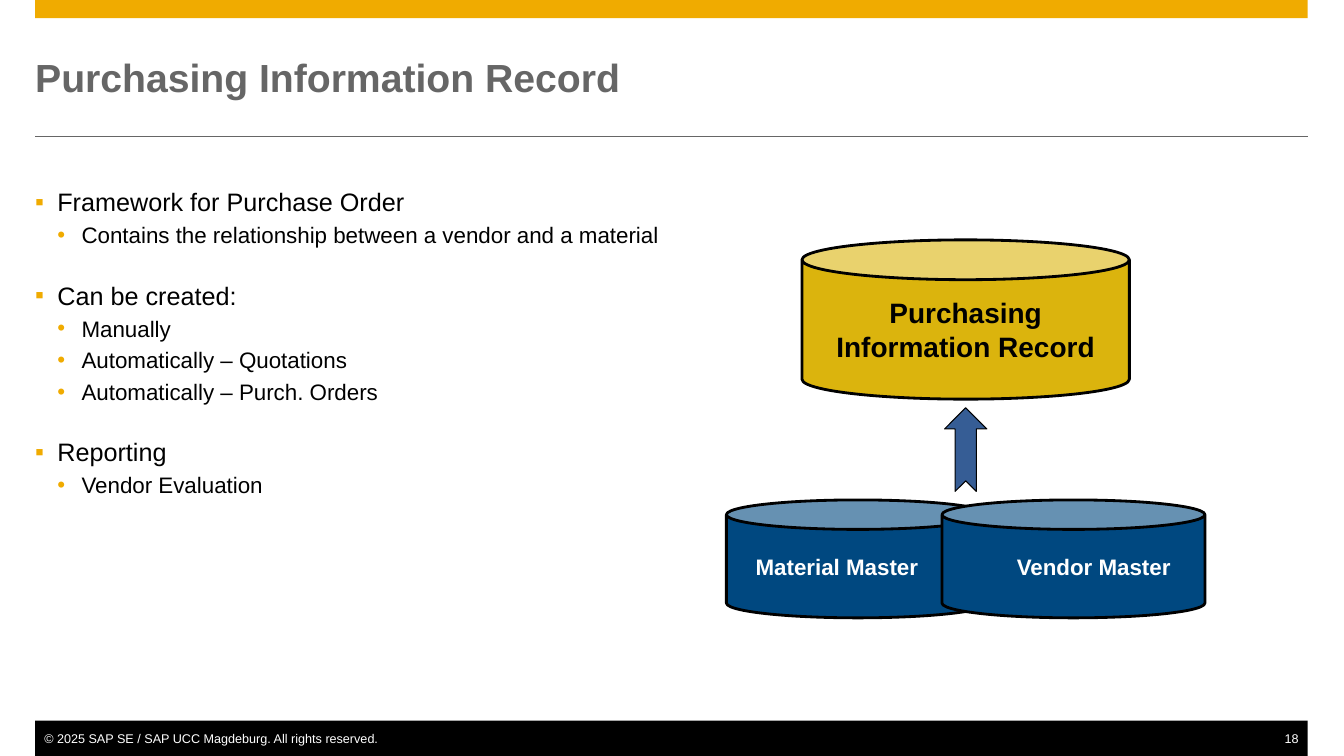
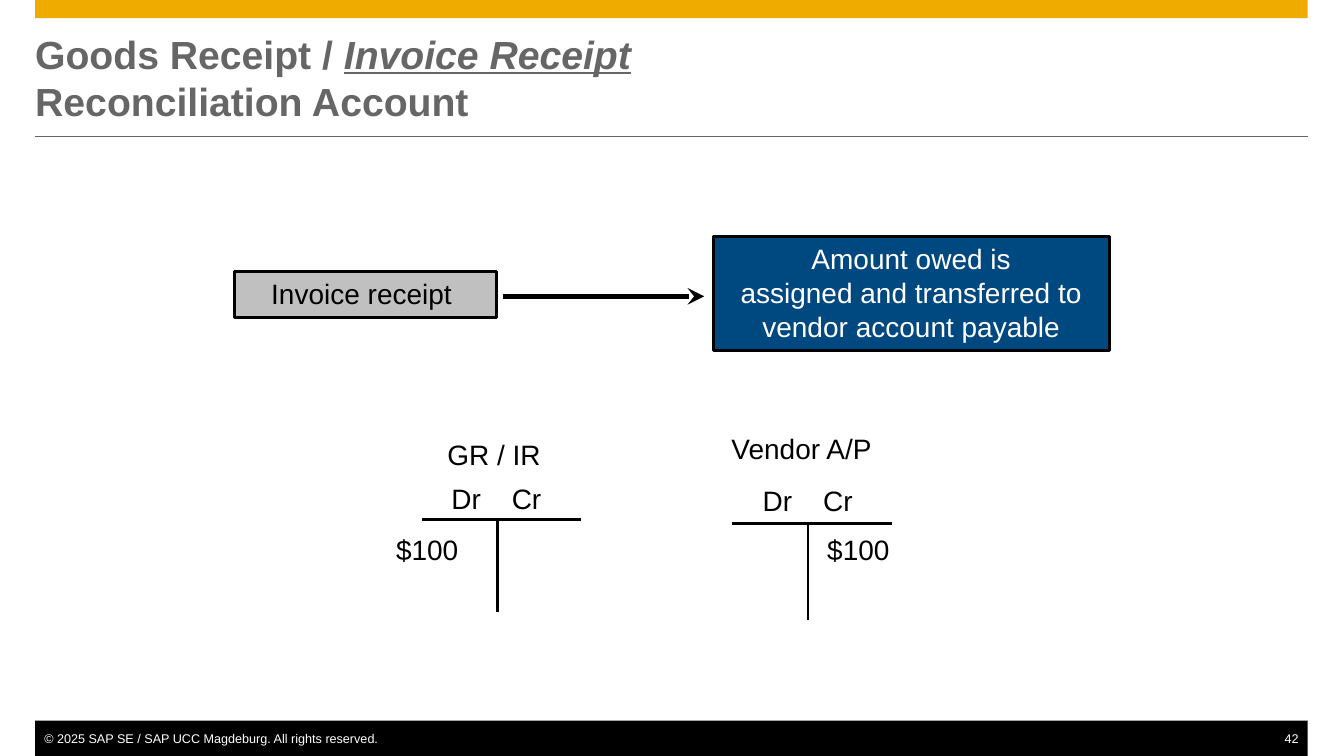
from dataclasses import dataclass

from lxml.etree import SubElement
from pptx import Presentation
from pptx.dml.color import RGBColor
from pptx.enum.shapes import MSO_CONNECTOR, MSO_SHAPE
from pptx.enum.text import MSO_ANCHOR, PP_ALIGN
from pptx.oxml.ns import qn
from pptx.util import Inches, Pt


@dataclass(frozen=True)
class Theme:
    font: str = "Arial"
    gold: str = "F0AB00"
    grey: str = "666666"
    silver: str = "C0C0C0"
    black: str = "000000"
    white: str = "FFFFFF"
    navy: str = "004880"
    arrow: str = "04357B"
    mustard: str = "DBB40D"
    title: int = 28
    large: int = 20
    body: int = 18
    detail: int = 16
    footer: int = 9
    left: float = 0.35
    width: float = 12.63


theme = Theme()


def draw(slide, at, kind=None, fill=None, outline=None, weight=2,
         insets=(0, 0, 0, 0), anchor=MSO_ANCHOR.TOP):
    box = [Inches(value) for value in at]
    if kind is None:
        shape = slide.shapes.add_textbox(*box)
    else:
        shape = slide.shapes.add_shape(kind, *box)
        shape.shadow.inherit = False
        shape.fill.solid()
        shape.fill.fore_color.rgb = RGBColor.from_string(fill)
        if outline:
            shape.line.color.rgb = RGBColor.from_string(outline)
            shape.line.width = Pt(weight)
        else:
            shape.line.fill.background()
    frame = shape.text_frame
    frame.word_wrap = True
    frame.vertical_anchor = anchor
    frame.margin_left, frame.margin_top, frame.margin_right, frame.margin_bottom = (
        Inches(inset) for inset in insets)
    return shape


def write(shape, text, size=theme.large, color=theme.black, bold=False, emphasis=False,
          align=PP_ALIGN.LEFT, before=0, bullet=None, indent=0, hanging=0, tab=None,
          join="paragraph"):
    frame = shape.text_frame
    paragraph = frame.paragraphs[-1]
    if join == "paragraph":
        if paragraph.runs:
            paragraph = frame.add_paragraph()
        properties = paragraph._p.get_or_add_pPr()
        if bullet:
            properties.set("marL", str(Inches(indent)))
            properties.set("indent", str(-Inches(hanging)))
            bullet_color = SubElement(properties, qn("a:buClr"))
            SubElement(bullet_color, qn("a:srgbClr"), val=theme.gold)
            SubElement(properties, qn("a:buFont"), typeface=theme.font)
            SubElement(properties, qn("a:buChar"), char=bullet)
        if tab:
            stops = SubElement(properties, qn("a:tabLst"))
            SubElement(stops, qn("a:tab"), pos=str(Inches(tab)), algn="l")
        paragraph.alignment = align
        paragraph.space_before = Pt(before)
    elif join == "break":
        paragraph.add_line_break()
    run = paragraph.add_run()
    run.text = text
    run.font.name = theme.font
    run.font.size = Pt(size)
    run.font.bold = bold
    run.font.italic = run.font.underline = emphasis
    run.font.color.rgb = RGBColor.from_string(color)


presentation = Presentation()
presentation.slide_width = Inches(13.34)
presentation.slide_height = Inches(7.5)

titles = [
    ("18", [("Purchasing Information Record", False, "paragraph")]),
    ("42", [("Goods Receipt / ", False, "paragraph"),
            ("Invoice Receipt", True, "run"),
            ("Reconciliation Account", False, "break")]),
]
strokes = []
slides = []
for number, title_runs in titles:
    slide = presentation.slides.add_slide(presentation.slide_layouts[6])
    slides.append(slide)
    draw(slide, (theme.left, 0, theme.width, 0.18), MSO_SHAPE.RECTANGLE, theme.gold)
    draw(slide, (theme.left, 7.15, theme.width, 0.35), MSO_SHAPE.RECTANGLE, theme.black)
    strokes.append((slide, (0.35, 1.35, 12.98, 1.35), theme.grey, 0.5, False))
    copyright_line = draw(slide, (theme.left, 7.25, 6, 0.15), insets=(0.09, 0, 0, 0))
    write(copyright_line, "© 2025 SAP SE / SAP UCC Magdeburg. All rights reserved.",
          size=theme.footer, color=theme.white)
    page = draw(slide, (12.48, 7.25, 0.5, 0.15), insets=(0, 0, 0.09, 0))
    write(page, number, size=theme.footer, color=theme.white, align=PP_ALIGN.RIGHT)
    title = draw(slide, (theme.left, 0.35, theme.width, 0.83), anchor=MSO_ANCHOR.MIDDLE)
    for text, emphasis, join in title_runs:
        write(title, text, size=theme.title, color=theme.grey, bold=True,
              emphasis=emphasis, join=join)

record_slide, receipt_slide = slides

topics = [
    ("Framework for Purchase Order",
     ["Contains the relationship between a vendor and a material"]),
    ("Can be created:",
     ["Manually", "Automatically – Quotations", "Automatically – Purch. Orders"]),
    ("Reporting", ["Vendor Evaluation"]),
]
outline = draw(record_slide, (theme.left, 1.85, theme.width, 4.8))
for position, (topic, details) in enumerate(topics):
    write(outline, topic, size=theme.body, before=22.5 if position else 0,
          bullet="▪", indent=0.22, hanging=0.22)
    for detail in details:
        write(outline, detail, size=theme.detail, before=3.4,
              bullet="•", indent=0.46, hanging=0.24)

feed_arrow = draw(record_slide, (9.17, 4.25, 0.83, 0.42), MSO_SHAPE.NOTCHED_RIGHT_ARROW,
                  theme.arrow, theme.black, weight=0.75)
feed_arrow.rotation = 270
arrow_color = next(feed_arrow.element.spPr.iter(qn("a:srgbClr")))
SubElement(arrow_color, qn("a:alpha"), val="80000")

masters = [
    ("Material Master", 7.21, PP_ALIGN.LEFT, (0.29, 0.05, 0.1, 0.05)),
    ("Vendor Master", 9.35, PP_ALIGN.RIGHT, (0.1, 0.05, 0.34, 0.05)),
]
for label, left, align, insets in masters:
    master = draw(record_slide, (left, 4.96, 2.61, 1.17), MSO_SHAPE.CAN, theme.navy,
                  theme.black, insets=insets, anchor=MSO_ANCHOR.MIDDLE)
    write(master, label, size=theme.detail, color=theme.white, bold=True, align=align)

info_record = draw(record_slide, (7.96, 2.38, 3.25, 1.58), MSO_SHAPE.CAN, theme.mustard,
                   theme.black, insets=(0.1, 0.05, 0.1, 0.05), anchor=MSO_ANCHOR.MIDDLE)
for text in ("Purchasing", "Information Record"):
    write(info_record, text, bold=True, align=PP_ALIGN.CENTER)

steps = [
    (["Amount owed is", "assigned and transferred to", "vendor account payable"],
     (7.08, 2.35, 3.93, 1.13), theme.navy, theme.white, 0.1),
    (["Invoice receipt"], (2.33, 2.69, 2.6, 0.46), theme.silver, theme.black, 0.18),
]
for lines, at, fill, color, right_inset in steps:
    step = draw(receipt_slide, at, MSO_SHAPE.RECTANGLE, fill, theme.black,
                insets=(0.1, 0.05, right_inset, 0.05))
    for text in lines:
        write(step, text, color=color, align=PP_ALIGN.CENTER)
strokes.append((receipt_slide, (4.99, 2.94, 6.99, 2.94), theme.black, 4, True))

accounts = [
    ("GR / IR", 4.44, 4.34, 4.19, 5.15, 6.07, 4.48, 4.78, 4.55),
    ("Vendor A/P", 7.26, 4.28, 7.27, 5.19, 6.15, 7.57, 4.8, 8.83),
]
for (name, name_left, name_top, rule_left, rule_top, stem_bottom,
     sides_left, sides_top, amount_right) in accounts:
    write(draw(receipt_slide, (name_left, name_top, 1.8, 0.33)), name)
    write(draw(receipt_slide, (sides_left, sides_top, 1.2, 0.33)), "Dr\tCr", tab=0.6)
    write(draw(receipt_slide, (amount_right - 1, 5.28, 1, 0.33)), "$100",
          align=PP_ALIGN.RIGHT)
    stem = rule_left + 0.75
    for ends in ((rule_left, rule_top, rule_left + 1.58, rule_top),
                 (stem, rule_top, stem, stem_bottom)):
        strokes.append((receipt_slide, ends, theme.black, 2, False))

for slide, ends, color, weight, arrowhead in strokes:
    stroke = slide.shapes.add_connector(MSO_CONNECTOR.STRAIGHT,
                                        *[Inches(value) for value in ends])
    stroke.line.color.rgb = RGBColor.from_string(color)
    stroke.line.width = Pt(weight)
    if arrowhead:
        SubElement(stroke.line._get_or_add_ln(), qn("a:tailEnd"), type="stealth")
    SubElement(stroke.element.spPr, qn("a:effectLst"))

presentation.save("out.pptx")
